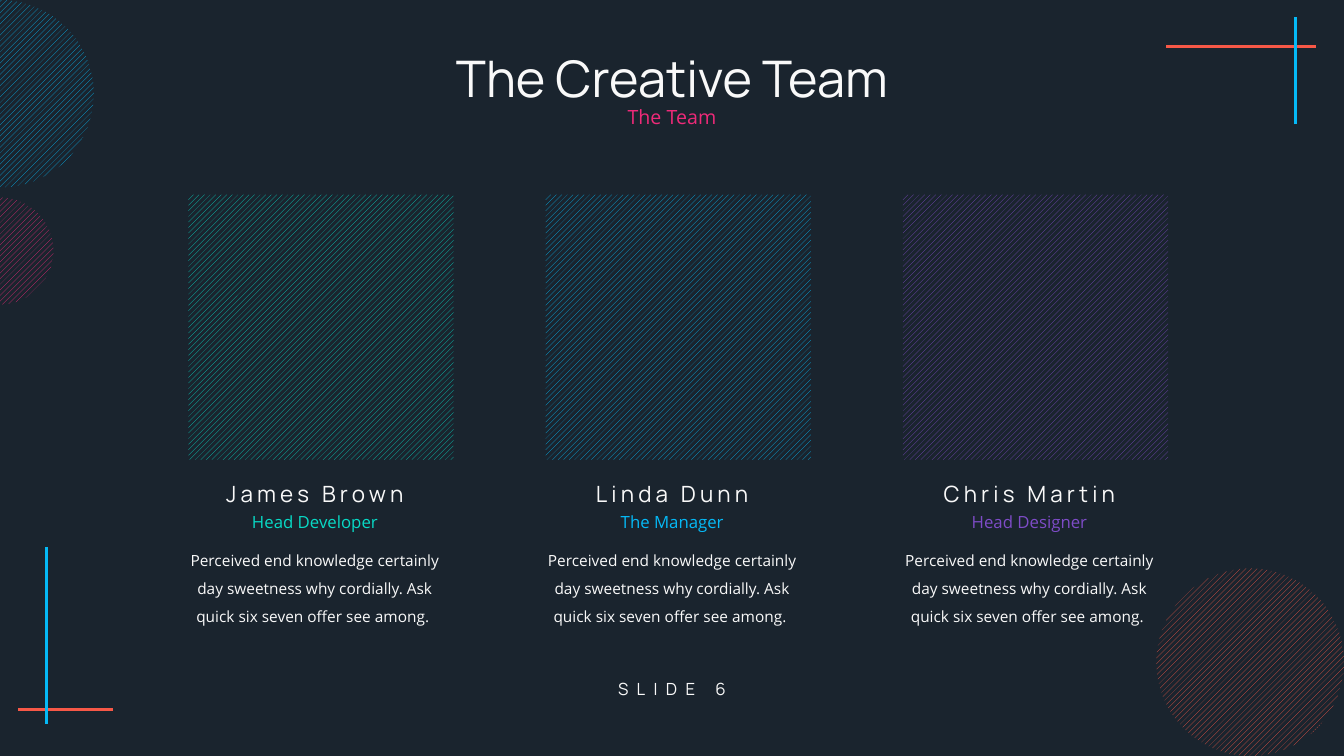
from dataclasses import dataclass

from lxml import etree
from pptx import Presentation
from pptx.dml.color import RGBColor
from pptx.enum.dml import MSO_PATTERN
from pptx.enum.shapes import MSO_CONNECTOR, MSO_SHAPE
from pptx.enum.text import MSO_ANCHOR, MSO_AUTO_SIZE, PP_ALIGN
from pptx.oxml.ns import qn
from pptx.slide import Slide
from pptx.util import Pt

STRAIGHT = MSO_CONNECTOR.STRAIGHT
OVAL, RECTANGLE = MSO_SHAPE.OVAL, MSO_SHAPE.RECTANGLE
STRIPES = MSO_PATTERN.WIDE_UPWARD_DIAGONAL
CENTER = PP_ALIGN.CENTER
TOP, MIDDLE = MSO_ANCHOR.TOP, MSO_ANCHOR.MIDDLE
FIT_SHAPE, FIXED = MSO_AUTO_SIZE.SHAPE_TO_FIT_TEXT, MSO_AUTO_SIZE.NONE

COLORS = {
    "background": "1A242E",
    "white": "F9F9F9",
    "coral": "F75847",
    "blue": "05B9F6",
    "pink": "EF2A79",
    "teal": "08DAC6",
    "purple": "7E4CC7",
}
HEADING_FONT, BODY_FONT = "Manrope", "Open Sans"
SLIDE_WIDTH, SLIDE_HEIGHT = 960, 540

CARD_CENTER, CARD_PITCH = 225, 255.2
PHOTO_SIZE, PHOTO_TOP, PHOTO_OFFSET = 189.4, 139, -90.4
BIO = ("Perceived end knowledge certainly day sweetness why cordially. "
       "Ask quick six seven offer see among. ")


@dataclass
class Line:
    x1: float
    y1: float
    x2: float
    y2: float
    color: str


@dataclass
class Circle:
    left: float
    top: float
    size: float
    color: str


@dataclass
class Style:
    font: str
    size: float
    color: str
    tracking: float = 0
    line_spacing: float = 1
    space_before: float = 0
    anchor: MSO_ANCHOR = TOP
    wrap: bool = True
    auto_size: MSO_AUTO_SIZE = FIT_SHAPE


@dataclass
class Member:
    name: str
    name_width: float
    role: str
    role_width: float
    color: str


LINES = [
    Line(833, 33.1, 940.3, 33.1, "coral"),
    Line(925.2, 88.6, 925.2, 12.2, "blue"),
    Line(80.6, 506.9, 13, 506.9, "coral"),
    Line(33.1, 391, 33.1, 517, "blue"),
]
CIRCLES = [
    Circle(826, 406, 134, "coral"),
    Circle(-38.2, 141.1, 76.4, "pink"),
    Circle(-67, 0, 134, "blue"),
]
TEAM = [
    Member("James Brown", 156.2, "Head Developer", 105.1, "teal"),
    Member("Linda Dunn", 133.9, "The Manager", 88.6, "blue"),
    Member("Chris Martin", 146.9, "Head Designer", 97.9, "purple"),
]


def rgb(color: str) -> RGBColor:
    return RGBColor.from_string(COLORS[color])


def add_line(slide: Slide, line: Line) -> None:
    connector = slide.shapes.add_connector(
        STRAIGHT, Pt(line.x1), Pt(line.y1), Pt(line.x2), Pt(line.y2))
    connector.line.color.rgb = rgb(line.color)
    connector.line.width = Pt(2)
    properties = connector._element.find(qn("p:spPr"))
    etree.SubElement(properties, qn("a:effectLst"))


def add_striped(slide: Slide, kind: MSO_SHAPE, left: float, top: float,
                size: float, color: str) -> None:
    shape = slide.shapes.add_shape(kind, Pt(left), Pt(top), Pt(size), Pt(size))
    shape.shadow.inherit = False
    shape.line.fill.background()
    shape.fill.patterned()
    shape.fill.pattern = STRIPES
    shape.fill.fore_color.rgb = rgb(color)
    shape.fill.back_color.rgb = rgb("background")


def add_text(slide: Slide, text: str, center: float, top: float,
             width: float, height: float, style: Style) -> None:
    box = slide.shapes.add_textbox(
        Pt(center - width / 2), Pt(top), Pt(width), Pt(height))
    frame = box.text_frame
    frame.word_wrap = style.wrap
    frame.auto_size = style.auto_size
    frame.vertical_anchor = style.anchor
    paragraph = frame.paragraphs[0]
    paragraph.alignment = CENTER
    paragraph.line_spacing = style.line_spacing
    paragraph.space_before = Pt(style.space_before)
    run = paragraph.add_run()
    run.text = text
    run.font.name = style.font
    run.font.size = Pt(style.size)
    run.font.color.rgb = rgb(style.color)
    if style.tracking:
        run._r.get_or_add_rPr().set("spc", str(round(style.tracking * 100)))


def add_member(slide: Slide, member: Member, center: float) -> None:
    add_striped(slide, RECTANGLE, center + PHOTO_OFFSET, PHOTO_TOP,
                PHOTO_SIZE, member.color)
    add_text(slide, member.name, center, 339.1, member.name_width, 26.6,
             Style(HEADING_FONT, 16, "white", tracking=3, wrap=False))
    add_text(slide, member.role, center, 362.2, member.role_width, 21.6,
             Style(BODY_FONT, 12, member.color, wrap=False))
    add_text(slide, BIO, center, 383.8, 197.3, 67,
             Style(BODY_FONT, 11, "white", line_spacing=1.5))


def add_heading(slide: Slide, text: str, top: float, font: str,
                size: float, color: str) -> None:
    add_text(slide, text, SLIDE_WIDTH / 2, top, 895, 46.1,
             Style(font, size, color, line_spacing=0.9, space_before=10,
                   anchor=MIDDLE, auto_size=FIXED))


def main() -> None:
    presentation = Presentation()
    presentation.slide_width = Pt(SLIDE_WIDTH)
    presentation.slide_height = Pt(SLIDE_HEIGHT)
    slide = presentation.slides.add_slide(presentation.slide_layouts[6])
    slide.background.fill.solid()
    slide.background.fill.fore_color.rgb = rgb("background")

    # Corner decoration
    for line in LINES:
        add_line(slide, line)
    for circle in CIRCLES:
        add_striped(slide, OVAL, circle.left, circle.top, circle.size,
                    circle.color)

    # Slide label
    add_text(slide, "SLIDE 6", SLIDE_WIDTH / 2, 477.4, 149.8, 29.5,
             Style(HEADING_FONT, 12, "white", tracking=6, anchor=MIDDLE,
                   auto_size=FIXED))

    # Headings
    add_heading(slide, "The Team", 61.2, BODY_FONT, 14, "pink")
    add_heading(slide, "The Creative Team", 35.3, HEADING_FONT, 36, "white")

    # Team cards
    for index, member in enumerate(TEAM):
        add_member(slide, member, CARD_CENTER + index * CARD_PITCH)

    presentation.save("out.pptx")


if __name__ == "__main__":
    main()
